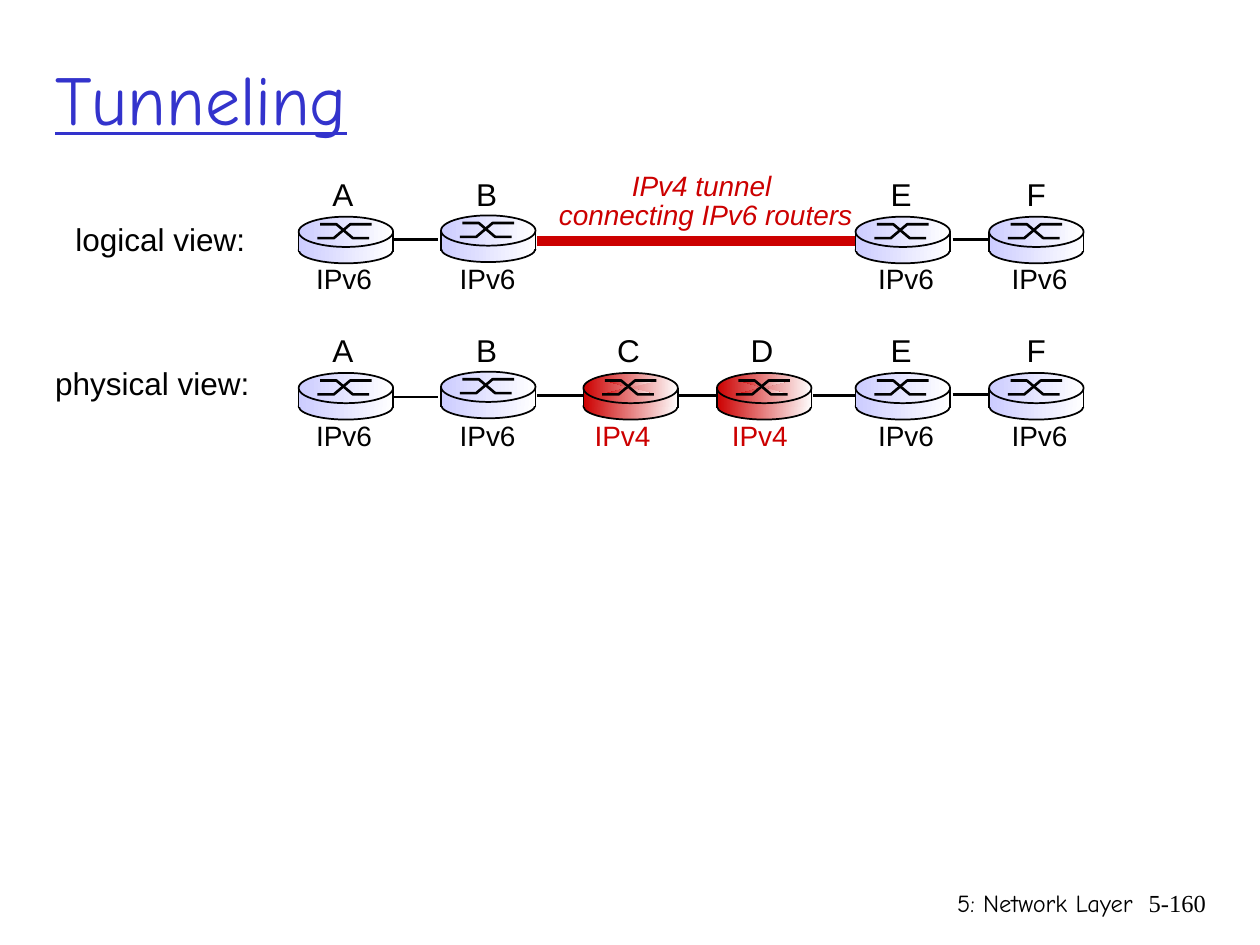
from lxml import etree
from pptx import Presentation
from pptx.dml.color import RGBColor
from pptx.enum.shapes import MSO_CONNECTOR, MSO_SHAPE
from pptx.enum.text import MSO_ANCHOR, MSO_AUTO_SIZE, PP_ALIGN
from pptx.oxml.ns import qn
from pptx.util import Inches, Pt

BLACK, WHITE, RED, LILAC, BLUE = "000000", "FFFFFF", "CC0000", "CCCCFF", "3333CC"


def rgb(value):
    return RGBColor.from_string(value)


def write(sp, text, size=18, font="Arial", color=BLACK, italic=False,
          underline=False, align=PP_ALIGN.LEFT, spacing=None):
    tf = sp.text_frame
    for i, line in enumerate(text.split("\n")):
        p = tf.add_paragraph() if i else tf.paragraphs[0]
        p.alignment = align
        if spacing:
            p.line_spacing = spacing
        r = p.add_run()
        r.text = line
        r.font.size, r.font.name = Pt(size), font
        r.font.italic, r.font.underline = italic, underline
        r.font.color.rgb = rgb(color)


def add_text(s, box, text, wrap=False, **fmt):
    sp = s.shapes.add_textbox(*map(Inches, box))
    sp.text_frame.word_wrap = wrap
    if not wrap:
        sp.text_frame.auto_size = MSO_AUTO_SIZE.SHAPE_TO_FIT_TEXT
    write(sp, text, **fmt)


def add_line(s, x1, y1, x2, y2, width):
    c = s.shapes.add_connector(MSO_CONNECTOR.STRAIGHT, *map(Inches, (x1, y1, x2, y2)))
    c.line.color.rgb, c.line.width = rgb(BLACK), Pt(width)
    etree.SubElement(c._element.spPr, qn("a:effectLst"))


def shade(sp, color):
    """Fill with a left-to-right fade from the colour to white."""
    sp.fill.gradient()
    sp.fill.gradient_angle = 0
    for stop, position, value in zip(sp.fill.gradient_stops, (0, 1), (color, WHITE)):
        stop.position, stop.color.rgb = position, rgb(value)


def add_part(s, shape, box, color, line=None):
    sp = s.shapes.add_shape(shape, *map(Inches, box))
    sp.shadow.inherit = False
    shade(sp, color)
    if line:
        sp.line.color.rgb, sp.line.width = rgb(BLACK), Pt(line)
    else:
        sp.line.fill.background()


def add_router(s, x, y, color):
    # Cylinder: base, body and top
    add_part(s, MSO_SHAPE.OVAL, (x, y + 0.16, 0.75, 0.21), color, 1)
    add_part(s, MSO_SHAPE.RECTANGLE, (x, y + 0.14, 0.76, 0.13), color)
    add_part(s, MSO_SHAPE.OVAL, (x, y, 0.75, 0.24), color, 1)

    # Crossing switch strokes
    low, high = y + 0.17, y + 0.06
    for offsets, start, end in (((0.15, 0.28, 0.41, 0.58), low, high),
                                ((0.17, 0.3, 0.43, 0.56), high, low)):
        points = [(Inches(x + dx), Inches(py))
                  for dx, py in zip(offsets, (start, start, end, end))]
        builder = s.shapes.build_freeform(*points[0])
        builder.add_line_segments(points[1:], close=False)
        sp = builder.convert_to_shape()
        sp.shadow.inherit = False
        if color == RED:
            shade(sp, color)
        else:
            sp.fill.background()
        sp.line.color.rgb, sp.line.width = rgb(BLACK), Pt(1.5)

    # Cylinder sides
    for side in (x, x + 0.75):
        add_line(s, side, y + 0.12, side, y + 0.28, 1)


# Router name: left, nudge down, name offset, label offset, protocol
ROUTERS = {
    "A": (2.37, 0, 0.17, 0.04, "IPv6"),
    "B": (3.5, -0.01, 0.18, 0.05, "IPv6"),
    "C": (4.63, 0, 0.17, -0.01, "IPv4"),
    "D": (5.69, 0, 0.17, 0.02, "IPv4"),
    "E": (6.79, 0, 0.18, 0.08, "IPv6"),
    "F": (7.85, 0, 0.2, 0.08, "IPv6"),
}


def add_network(s, top, names, links):
    """Draw a row of named routers; link heights are measured from top."""
    for x1, x2, dy in links:
        add_line(s, x1, top + dy, x2, top + dy, 1.5)
    for name in names:
        x, dy, name_dx, label_dx, protocol = ROUTERS[name]
        is_v4 = protocol == "IPv4"
        add_router(s, x, top + 0.38 + dy, RED if is_v4 else LILAC)
        add_text(s, (x + name_dx, top, 0.37, 0.4), name)
        add_text(s, (x + label_dx, top + 0.69, 0.65, 0.37), protocol,
                 size=16, color=RED if is_v4 else BLACK)


def add_logical_view(s, top):
    add_text(s, (0.5, top + 0.36, 1.55, 0.4), "logical view:")
    # Tunnel
    sp = s.shapes.add_shape(MSO_SHAPE.RECTANGLE, Inches(4.21), Inches(top + 0.54),
                            Inches(2.63), Inches(0.07))
    sp.shadow.inherit = False
    sp.fill.solid()
    sp.fill.fore_color.rgb = sp.line.color.rgb = rgb(RED)
    sp.line.width = Pt(0.75)
    add_text(s, (4.33, top - 0.01, 2.54, 0.56), "IPv4 tunnel \nconnecting IPv6 routers",
             size=16, color=RED, italic=True, align=PP_ALIGN.CENTER, spacing=0.85)
    add_network(s, top, "ABEF", [(3.13, 3.48, 0.56), (7.56, 7.92, 0.56)])


def add_physical_view(s, top):
    add_text(s, (0.34, top + 0.26, 1.74, 0.4), "physical view:")
    add_network(s, top, "ABCDEF",
                [(4.26, 6.8, 0.56), (3.13, 3.48, 0.57), (7.56, 7.91, 0.55)])


def add_title(s, box, text):
    sp = s.shapes.title
    sp.left, sp.top, sp.width, sp.height = map(Inches, box)
    sp.text_frame.vertical_anchor = MSO_ANCHOR.MIDDLE
    write(sp, text, size=40, font="Comic Neue", color=BLUE, underline=True)


def add_footer(s, top):
    add_text(s, (5.92, top, 3.17, 0.5), "5: Network Layer", wrap=True,
             size=14, font="Comic Neue", align=PP_ALIGN.RIGHT)
    add_text(s, (8.93, top, 0.74, 0.5), "5-160", wrap=True,
             size=14, font="Times New Roman", align=PP_ALIGN.RIGHT)


def main():
    prs = Presentation()
    prs.slide_width, prs.slide_height = Inches(10), Inches(7.5)
    s = prs.slides.add_slide(prs.slide_layouts[5])
    add_title(s, (0.34, 0.23, 8.5, 1.08), "Tunneling")
    add_logical_view(s, 1.34)
    add_physical_view(s, 2.58)
    add_footer(s, 7)
    prs.save("out.pptx")


if __name__ == "__main__":
    main()
